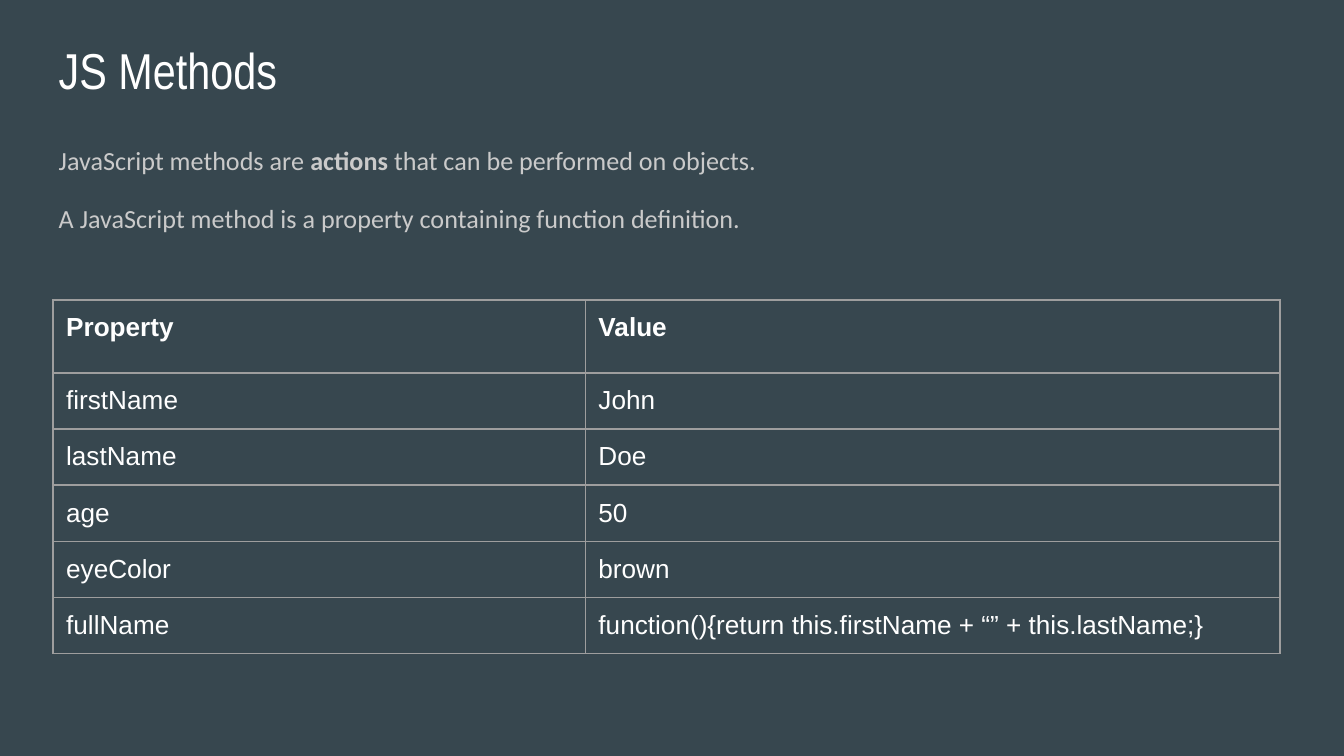
from typing import NamedTuple

from lxml.etree import SubElement
from pptx import Presentation
from pptx.dml.color import RGBColor
from pptx.enum.text import MSO_ANCHOR, MSO_AUTO_SIZE, PP_ALIGN
from pptx.oxml.ns import qn
from pptx.util import Cm, Pt


class Box(NamedTuple):
    left: float
    top: float
    width: float
    height: float


class Row(NamedTuple):
    name: str
    value: str
    height: float = 1.06
    bold: bool = False


class Run(NamedTuple):
    text: str
    bold: bool = False


PAD = Cm(0.25)
MARGINS = dict.fromkeys(
    ("margin_left", "margin_top", "margin_right", "margin_bottom"), PAD)
FRAME = {**MARGINS, "word_wrap": True, "auto_size": MSO_AUTO_SIZE.NONE,
         "vertical_anchor": MSO_ANCHOR.TOP}
HEAD = {"name": "Arial Narrow", "size": Pt(27), "bold": False}
PROSE = {"name": "Calibri", "size": Pt(14)}
CELL = {"name": "Arial", "size": Pt(14)}
WHITE, GREY, RULE, SLATE = "FFFFFF", "CACACA", "9E9E9E", "37474F"

LINES = [
    [Run("JavaScript methods are "), Run("actions", True),
     Run(" that can be performed on objects.")],
    [Run("A JavaScript method is a property containing function definition.")],
]
GAPS = [
    {"space_before": Pt(0), "space_after": Pt(0)},
    {"space_before": Pt(12), "space_after": Pt(12)},
]
ROWS = [
    Row("Property", "Value", 1.38, True),
    Row("firstName", "John"),
    Row("lastName", "Doe"),
    Row("age", "50"),
    Row("eyeColor", "brown"),
    Row("fullName", "function(){return this.firstName + “” + this.lastName;}"),
]
WIDTHS = [10.06, 13.13]


def style(item, form: dict) -> None:
    for key, val in form.items():
        setattr(item, key, val)


def paint(part, tone: str) -> None:
    part.rgb = RGBColor.from_string(tone)


def write(para, run: Run, form: dict, tone: str) -> None:
    piece = para.add_run()
    piece.text = run.text
    style(piece.font, {"bold": run.bold, **form})
    paint(piece.font.color, tone)


def place(shape, box: Box) -> None:
    style(shape, {key: Cm(val) for key, val in box._asdict().items()})
    style(shape.text_frame, FRAME)


def plain(para) -> None:
    props = para._p.get_or_add_pPr()
    props.set("marL", "0")
    props.set("indent", "0")
    SubElement(props, qn("a:buNone"))


def border(cell, tone: str) -> None:
    props = cell._tc.get_or_add_tcPr()
    for side in ("lnL", "lnR", "lnT", "lnB"):
        line = SubElement(props, qn(f"a:{side}"), w=str(Pt(0.75)))
        fill = SubElement(line, qn("a:solidFill"))
        SubElement(fill, qn("a:srgbClr"), val=tone)


def draw_title(shape) -> None:
    place(shape, Box(0.86, 0.48, 23.67, 1.6))
    para = shape.text_frame.paragraphs[0]
    para.alignment = PP_ALIGN.LEFT
    write(para, Run("JS Methods"), HEAD, WHITE)


def draw_body(shape) -> None:
    place(shape, Box(0.86, 2.39, 19.61, 3.05))
    frame = shape.text_frame
    for num, (line, gap) in enumerate(zip(LINES, GAPS)):
        para = frame.add_paragraph() if num else frame.paragraphs[0]
        style(para, {"line_spacing": 1.15, **gap})
        plain(para)
        for run in line:
            write(para, run, PROSE, GREY)


def draw_table(slide, rows: list[Row]) -> None:
    box = Box(1, 5.67, sum(WIDTHS), sum(row.height for row in rows))
    grid = slide.shapes.add_table(len(rows), len(WIDTHS), *map(Cm, box)).table
    grid.horz_banding = False
    for col, width in zip(grid.columns, WIDTHS):
        col.width = Cm(width)
    for band, row in zip(grid.rows, rows):
        band.height = Cm(row.height)
        for cell, text in zip(band.cells, (row.name, row.value)):
            style(cell, MARGINS)
            border(cell, RULE)
            cell.fill.background()
            para = cell.text_frame.paragraphs[0]
            write(para, Run(text, row.bold), CELL, WHITE)


def main() -> None:
    deck = Presentation()
    style(deck, {"slide_width": Cm(25.4), "slide_height": Cm(14.29)})
    slide = deck.slides.add_slide(deck.slide_layouts[1])
    back = slide.background.fill
    back.solid()
    paint(back.fore_color, SLATE)
    draw_title(slide.shapes.title)
    draw_body(slide.placeholders[1])
    draw_table(slide, ROWS)
    deck.save("out.pptx")


if __name__ == "__main__":
    main()
